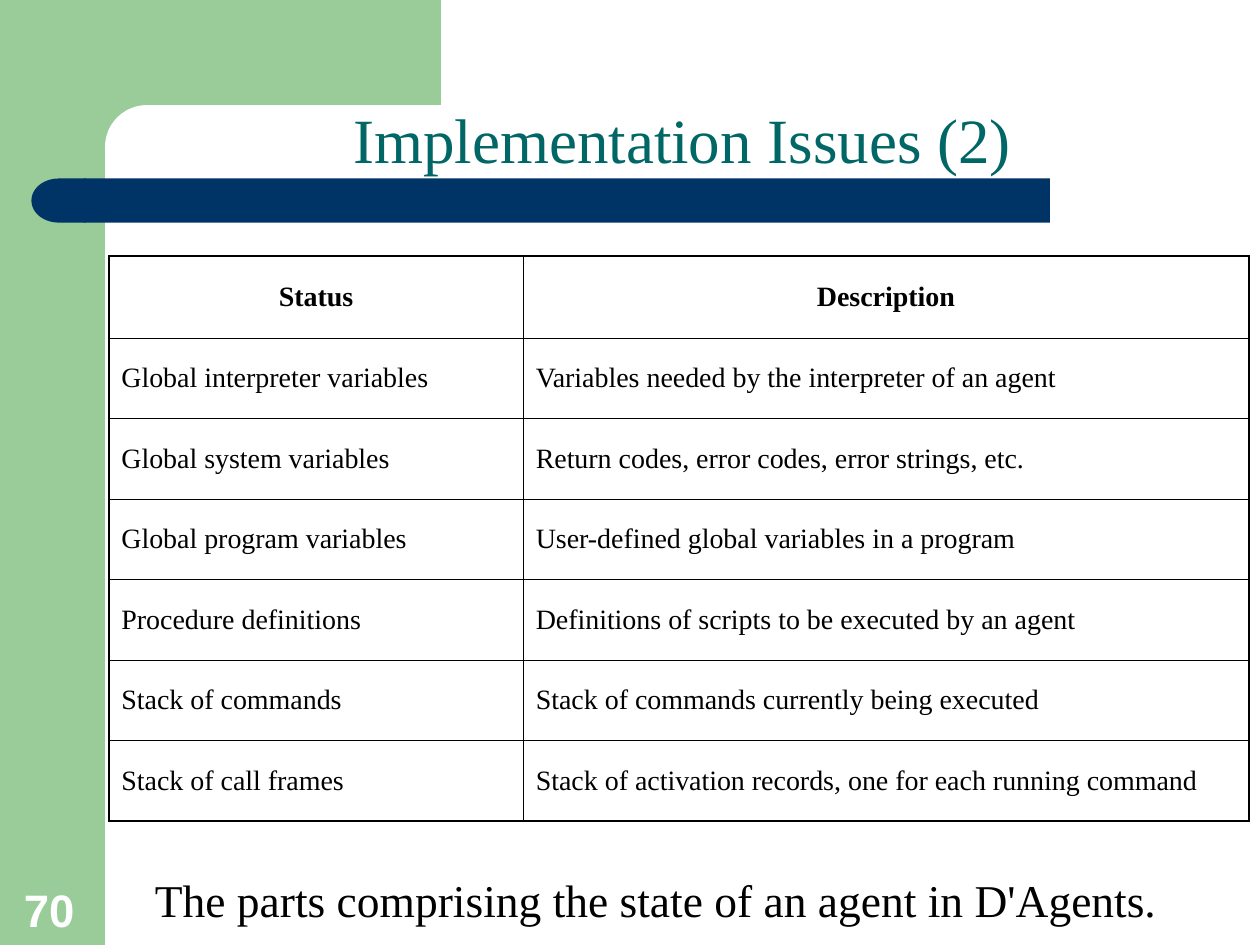
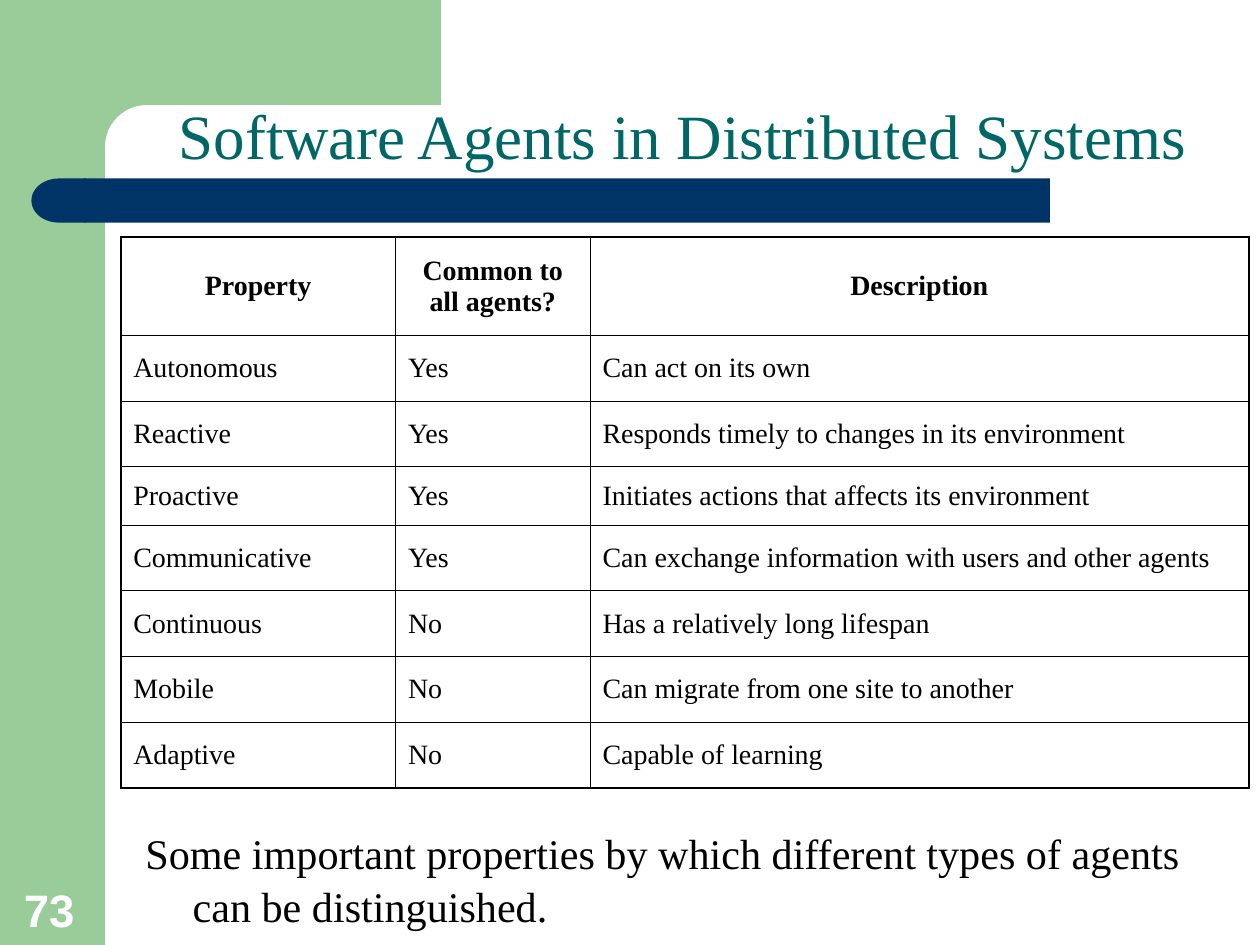
from lxml import etree
from pptx import Presentation
from pptx.dml.color import RGBColor
from pptx.enum import shapes, text
from pptx.oxml import ns
from pptx.util import Pt

GREEN = RGBColor(0x99, 0xCC, 0x99)
NAVY = RGBColor(0x00, 0x33, 0x66)
TEAL = RGBColor(0x00, 0x66, 0x66)
WHITE = RGBColor(0xFF, 0xFF, 0xFF)
BLACK = RGBColor(0x00, 0x00, 0x00)
SERIF, SANS = "Times New Roman", "Arial"
OUTER_LINE, INNER_LINE = Pt(1.08), Pt(0.45)
LEFT, CENTER = text.PP_ALIGN.LEFT, text.PP_ALIGN.CENTER
TOP, MIDDLE, BOTTOM = text.MSO_ANCHOR.TOP, text.MSO_ANCHOR.MIDDLE, text.MSO_ANCHOR.BOTTOM
PRESET = shapes.MSO_SHAPE

BACKDROP = [
    (PRESET.RECTANGLE, GREEN, (0, 0, 60, 540)),
    (PRESET.RECTANGLE, GREEN, (54, 0, 198, 84)),
    (PRESET.ROUNDED_RECTANGLE, WHITE, (60, 60, 246, 48)),
    (PRESET.RECTANGLE, NAVY, (48, 102, 552, 25.2)),
    (PRESET.FLOWCHART_DELAY, NAVY, (18, 102, 31, 25.2)),
]

SLIDES = [
    dict(
        number="70",
        title="Implementation Issues (2)",
        title_top=56.2,
        caption="The parts comprising the state of an agent in D'Agents.",
        caption_box=(60, 491, 630, 43),
        caption_size=26,
        caption_align=CENTER,
        table_at=(62.2, 146.4),
        columns=[236.8, 414.6],
        heights=[46.8] + [46.02] * 6,
        rows=[
            ("Status", "Description"),
            ("Global interpreter variables", "Variables needed by the interpreter of an agent"),
            ("Global system variables", "Return codes, error codes, error strings, etc."),
            ("Global program variables", "User-defined global variables in a program"),
            ("Procedure definitions", "Definitions of scripts to be executed by an agent"),
            ("Stack of commands", "Stack of commands currently being executed"),
            ("Stack of call frames", "Stack of activation records, one for each running command"),
        ],
    ),
    dict(
        number="73",
        title="Software Agents in Distributed Systems",
        title_top=54,
        caption="Some important properties by which different types of agents can be distinguished.",
        caption_box=(76, 466, 606, 66),
        caption_size=24.1,
        caption_align=LEFT,
        table_at=(69, 135.4),
        columns=[157, 111.2, 376.4],
        heights=[56.2] + [37.6] * 2 + [33.2] + [37.6] * 4,
        rows=[
            ("Property", "Common to all agents?", "Description"),
            ("Autonomous", "Yes", "Can act on its own"),
            ("Reactive", "Yes", "Responds timely to changes in its environment"),
            ("Proactive", "Yes", "Initiates actions that affects its environment"),
            ("Communicative", "Yes", "Can exchange information with users and other agents"),
            ("Continuous", "No", "Has a relatively long lifespan"),
            ("Mobile", "No", "Can migrate from one site to another"),
            ("Adaptive", "No", "Capable of learning"),
        ],
    ),
]


def write(paragraph, words, size, color, font=SERIF, align=LEFT, bold=False):
    paragraph.text = words
    paragraph.alignment = align
    paragraph.font.name = font
    paragraph.font.size = Pt(size)
    paragraph.font.bold = bold
    paragraph.font.color.rgb = color


def add_text(slide, box, anchor, words, size, color, **style):
    frame = slide.shapes.add_textbox(*map(Pt, box)).text_frame
    frame.word_wrap = True
    frame.vertical_anchor = anchor
    write(frame.paragraphs[0], words, size, color, **style)
    return frame


presentation = Presentation()
presentation.slide_width, presentation.slide_height = Pt(720), Pt(540)

for content in SLIDES:
    slide = presentation.slides.add_slide(presentation.slide_layouts[6])

    for preset, color, box in BACKDROP:
        shape = slide.shapes.add_shape(preset, *map(Pt, box))
        shape.shadow.inherit = False
        shape.fill.solid()
        shape.fill.fore_color.rgb = color
        shape.line.fill.background()
        if preset == PRESET.ROUNDED_RECTANGLE:
            shape.adjustments[0] = 0.5
        if preset == PRESET.FLOWCHART_DELAY:
            shape._element.spPr.xfrm.set("flipH", "1")

    add_text(slide, (6.5, 499.7, 46, 39), BOTTOM, content["number"], 26, WHITE, font=SANS, bold=True)
    add_text(slide, (60, content["title_top"], 660, 48), BOTTOM, content["title"], 36, TEAL, align=CENTER)
    caption = add_text(slide, content["caption_box"], TOP, content["caption"],
                       content["caption_size"], BLACK, align=content["caption_align"])
    caption.margin_top = Pt(5.5)
    caption.paragraphs[0].line_spacing = 1.05
    properties = caption.paragraphs[0]._p.get_or_add_pPr()
    properties.set("marL", str(Pt(27)))
    properties.set("indent", str(Pt(-27)))

    rows, columns, heights = content["rows"], content["columns"], content["heights"]
    size = sum(columns), sum(heights)
    table = slide.shapes.add_table(len(rows), len(columns), *map(Pt, content["table_at"] + size)).table
    table.first_row = table.horz_banding = False
    for column, width in zip(table.columns, columns):
        column.width = Pt(width)
    for row, height in zip(table.rows, heights):
        row.height = Pt(height)

    last_row, last_column = len(rows) - 1, len(columns) - 1
    for r, row in enumerate(rows):
        for c, words in enumerate(row):
            cell = table.cell(r, c)
            cell.vertical_anchor = MIDDLE
            header = r == 0
            write(cell.text_frame.paragraphs[0], words, 16, BLACK,
                  align=CENTER if header else LEFT, bold=header)
            edges = {"lnL": c == 0, "lnR": c == last_column, "lnT": r == 0, "lnB": r == last_row}
            for side, outer in edges.items():
                line = etree.SubElement(cell._tc.get_or_add_tcPr(), ns.qn("a:" + side),
                                        w=str(OUTER_LINE if outer else INNER_LINE))
                fill = etree.SubElement(line, ns.qn("a:solidFill"))
                etree.SubElement(fill, ns.qn("a:srgbClr"), val=str(BLACK))
            cell.fill.background()

presentation.save("out.pptx")
